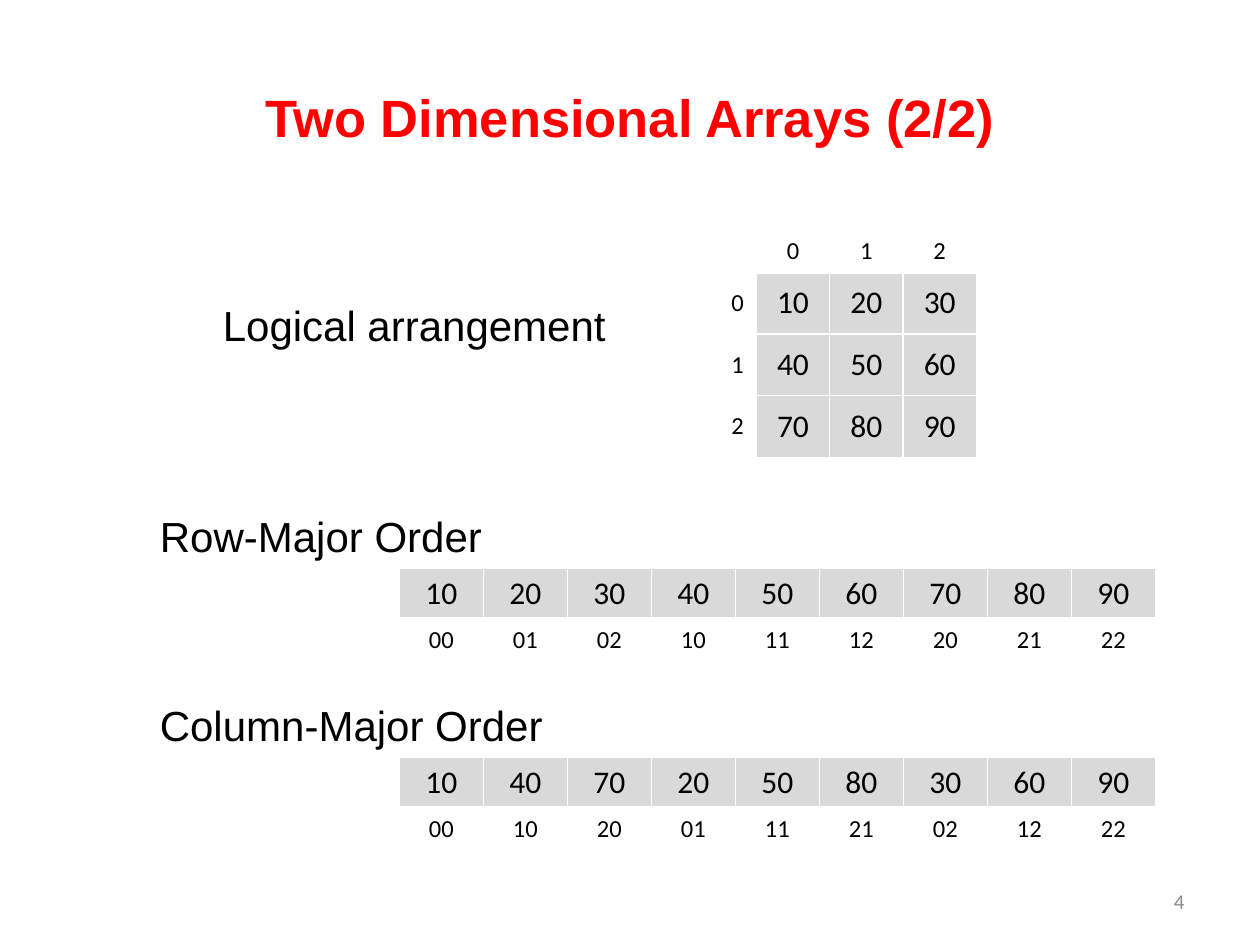
from dataclasses import dataclass
from lxml.etree import SubElement
from pptx import Presentation
from pptx.dml.color import RGBColor
from pptx.enum.text import MSO_ANCHOR, MSO_AUTO_SIZE, PP_ALIGN
from pptx.oxml.ns import qn
from pptx.util import Inches, Pt


@dataclass(frozen=True)
class Theme:
    head: str = "Arial"
    body: str = "Calibri"
    red: str = "FF0000"
    black: str = "000000"
    white: str = "FFFFFF"
    gray: str = "D9D9D9"
    dim: str = "8C8C8C"
    title: int = 30
    label: int = 24
    value: int = 18
    index: int = 14
    page: int = 12


def write(frame, text, font, size, color, bold=False, align=PP_ALIGN.LEFT):
    para = frame.paragraphs[0]
    para.alignment = align
    run = para.add_run()
    run.text = text
    run.font.name = font
    run.font.size = Pt(size)
    run.font.bold = bold
    run.font.color.rgb = RGBColor.from_string(color)


class Board:
    def __init__(self, slide, theme):
        self.slide = slide
        self.theme = theme

    def text(self, box, text, anchor=MSO_ANCHOR.TOP, wrap=True, **style):
        shape = self.slide.shapes.add_textbox(*map(Inches, box))
        frame = shape.text_frame
        frame.word_wrap = wrap
        frame.auto_size = MSO_AUTO_SIZE.NONE if wrap else MSO_AUTO_SIZE.SHAPE_TO_FIT_TEXT
        frame.vertical_anchor = anchor
        write(frame, text, **style)

    def label(self, box, text):
        look = self.theme
        self.text(box, text, wrap=False, font=look.head, size=look.label, color=look.black)

    def edges(self, cell, base):
        props = cell._tc.get_or_add_tcPr()
        for spot, side in enumerate(("lnL", "lnR", "lnT", "lnB")):
            width = Pt(base if side == "lnB" else 1)
            line = SubElement(props, qn(f"a:{side}"), w=str(width))
            fill = SubElement(line, qn("a:solidFill"))
            SubElement(fill, qn("a:srgbClr"), val=self.theme.white)
            props.insert(spot, line)

    def cell(self, cell, text, value, anchor, align, base):
        look = self.theme
        cell.fill.solid()
        cell.fill.fore_color.rgb = RGBColor.from_string(look.gray if value else look.white)
        cell.vertical_anchor = anchor
        self.edges(cell, base)
        if text:
            write(cell.text_frame, text, font=look.body, color=look.black,
                  size=look.value if value else look.index, align=align)

    def frame(self, box, rows, cols):
        table = self.slide.shapes.add_table(rows, cols, *map(Inches, box)).table
        table.first_row = table.horz_banding = False
        return table

    def matrix(self, box, grid):
        count = len(grid)
        table = self.frame(box, count + 1, count + 1)
        rows = [["", *map(str, range(count))]]
        rows += [[str(i), *row] for i, row in enumerate(grid)]
        for i, row in enumerate(rows):
            for j, text in enumerate(row):
                self.cell(
                    table.cell(i, j), text, value=i > 0 and j > 0,
                    anchor=MSO_ANCHOR.MIDDLE if i else MSO_ANCHOR.BOTTOM,
                    align=PP_ALIGN.CENTER if j else PP_ALIGN.RIGHT,
                    base=1 if i else 3)

    def strip(self, box, grid, order):
        table = self.frame(box, 2, len(order))
        for col, (i, j) in enumerate(order):
            self.cell(table.cell(0, col), grid[i][j], value=True,
                      anchor=MSO_ANCHOR.MIDDLE, align=PP_ALIGN.CENTER, base=3)
            self.cell(table.cell(1, col), f"{i}{j}", value=False,
                      anchor=MSO_ANCHOR.TOP, align=PP_ALIGN.CENTER, base=1)


def main():
    deck = Presentation()
    deck.slide_width, deck.slide_height = Inches(10), Inches(7.5)
    look = Theme()
    board = Board(deck.slides.add_slide(deck.slide_layouts[6]), look)

    board.text((0.5, 0.3, 9, 1.25), "Two Dimensional Arrays (2/2)",
               anchor=MSO_ANCHOR.MIDDLE, font=look.head, size=look.title,
               color=look.red, bold=True, align=PP_ALIGN.CENTER)
    board.text((7.17, 6.95, 2.33, 0.4), "4", anchor=MSO_ANCHOR.MIDDLE,
               font=look.body, size=look.page, color=look.dim, align=PP_ALIGN.RIGHT)

    size = 3
    grid = [[str(10 * (size * i + j + 1)) for j in range(size)] for i in range(size)]
    board.label((1.67, 2.33, 3.28, 0.5), "Logical arrangement")
    board.matrix((5.42, 1.67, 2.33, 1.96), grid)

    by_row = [(i, j) for i in range(size) for j in range(size)]
    by_col = [(i, j) for j in range(size) for i in range(size)]
    parts = (("Row-Major Order", 2.79, by_row), ("Column-Major Order", 3.27, by_col))
    for n, (name, width, order) in enumerate(parts):
        top = 4 + 1.5 * n
        board.label((1.17, top, width, 0.5), name)
        board.strip((3.17, top + 0.51, 6, 0.81), grid, order)

    deck.save("out.pptx")


if __name__ == "__main__":
    main()
